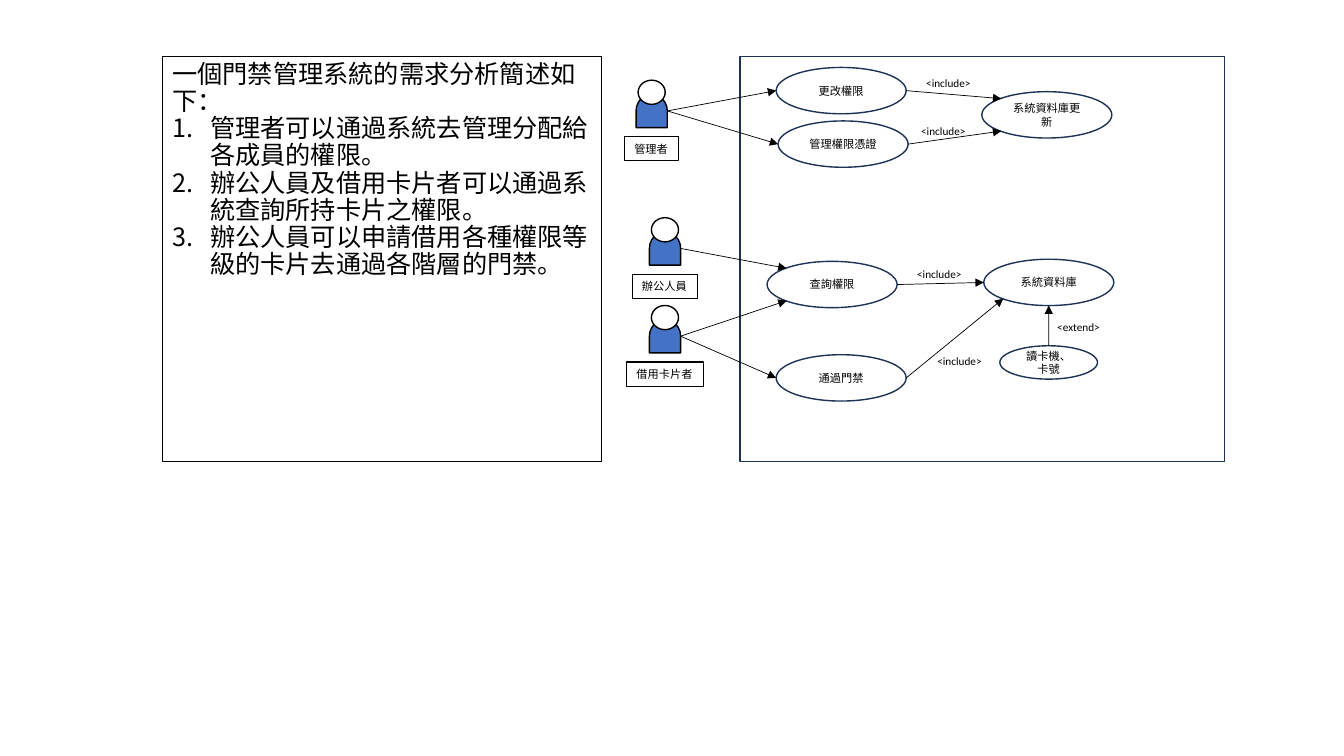
from collections import namedtuple
from lxml import etree
from pptx import Presentation
from pptx.dml.color import RGBColor
from pptx.enum.shapes import MSO_CONNECTOR, MSO_SHAPE
from pptx.enum.text import MSO_ANCHOR, MSO_AUTO_SIZE, PP_ALIGN
from pptx.oxml.ns import qn
from pptx.util import Pt

ELLIPSE = MSO_SHAPE.OVAL
RECTANGLE = MSO_SHAPE.RECTANGLE
DELAY = MSO_SHAPE.FLOWCHART_DELAY
STRAIGHT = MSO_CONNECTOR.STRAIGHT
TOP, MIDDLE = MSO_ANCHOR.TOP, MSO_ANCHOR.MIDDLE
LEFT, CENTER = PP_ALIGN.LEFT, PP_ALIGN.CENTER
NO_AUTOFIT = MSO_AUTO_SIZE.NONE

COLORS = {"black": "000000", "white": "FFFFFF", "navy": "1E3256", "blue": "4472C4"}
Box = namedtuple("Box", "left top width height")
Site = namedtuple("Site", "index across down")
SITES = {
    "top": Site(0, 0.5, 0),
    "top left": Site(1, 0.15, 0.15),
    "left": Site(2, 0, 0.5),
    "bottom left": Site(3, 0.15, 0.85),
    "bottom": Site(4, 0.5, 1),
    "right": Site(6, 1, 0.5),
}
HAND = Site(2, 0.97, 0.5)

REQUIREMENTS = [
    "管理者可以通過系統去管理分配給各成員的權限。",
    "辦公人員及借用卡片者可以通過系統查詢所持卡片之權限。",
    "辦公人員可以申請借用各種權限等級的卡片去通過各階層的門禁。",
]
ACTORS = [("管理者", 20.5, 17, "Calibri"), ("辦公人員", 30, 115.2, "Arial"),
          ("借用卡片者", 30, 177.9, "Arial")]
USE_CASE_SIZE = (92.9, 33.1)
USE_CASES = [
    ("更改權限", 25.9, 7.9, USE_CASE_SIZE),
    ("管理權限憑證", 27.3, 46.1, USE_CASE_SIZE),
    ("系統資料庫更新", 172.8, 25.2, USE_CASE_SIZE),
    ("查詢權限", 19.4, 146.4, USE_CASE_SIZE),
    ("系統資料庫", 174.2, 144.9, USE_CASE_SIZE),
    ("通過門禁", 25.9, 213.1, USE_CASE_SIZE),
    ("讀卡機、卡號", 185.7, 206.7, (69.8, 23.8)),
]
RELATION_LABELS = [("<include>", 126, 10.8), ("<include>", 122.4, 44.7),
                   ("<include>", 119.5, 146.9), ("<include>", 133.9, 209.5),
                   ("<extend>", 219.6, 185.1)]
ARROWS = [
    ("管理者", HAND, "更改權限", "left"),
    ("管理者", HAND, "管理權限憑證", "left"),
    ("辦公人員", HAND, "查詢權限", "top left"),
    ("借用卡片者", HAND, "查詢權限", "bottom left"),
    ("借用卡片者", HAND, "通過門禁", "left"),
    ("更改權限", SITES["right"], "系統資料庫更新", "top left"),
    ("管理權限憑證", SITES["right"], "系統資料庫更新", "bottom left"),
    ("查詢權限", SITES["right"], "系統資料庫", "left"),
    ("通過門禁", SITES["right"], "系統資料庫", "bottom left"),
    ("讀卡機、卡號", SITES["top"], "系統資料庫", "bottom"),
]


def rgb(name):
    return RGBColor.from_string(COLORS[name])


def write(paragraph, text, size=8, font="Calibri", color="black", align=LEFT):
    paragraph.alignment = align
    run = paragraph.add_run()
    run.text = text
    run.font.size = Pt(size)
    run.font.name = font
    run.font.color.rgb = rgb(color)


def add_shape(slide, kind, box, fill=None, line="black", weight=1):
    shape = slide.shapes.add_shape(kind, *map(Pt, box))
    shape.shadow.inherit = False
    if fill:
        shape.fill.solid()
        shape.fill.fore_color.rgb = rgb(fill)
    else:
        shape.fill.background()
    shape.line.color.rgb = rgb(line)
    shape.line.width = Pt(weight)
    return shape


def add_arrow(slide, source, start, target, end):
    points = [(shape.left + int(shape.width * site.across),
               shape.top + int(shape.height * site.down))
              for shape, site in ((source, start), (target, end))]
    connector = slide.shapes.add_connector(STRAIGHT, *points[0], *points[1])
    links = connector._element.nvCxnSpPr.cNvCxnSpPr
    for tag, shape, site in (("a:stCxn", source, start), ("a:endCxn", target, end)):
        etree.SubElement(links, qn(tag), id=str(shape.shape_id), idx=str(site.index))
    connector.line.color.rgb = rgb("black")
    connector.line.width = Pt(0.5)
    properties = connector._element.spPr
    etree.SubElement(properties.find(qn("a:ln")), qn("a:tailEnd"), type="triangle")
    etree.SubElement(properties, qn("a:effectLst"))


def build_requirements(slide, box):
    body = slide.placeholders[1]
    body.left, body.top, body.width, body.height = map(Pt, box)
    body.line.color.rgb = rgb("black")
    body.line.width = Pt(0.75)
    frame = body.text_frame
    frame.auto_size = NO_AUTOFIT
    frame.vertical_anchor = TOP
    for index, text in enumerate(["一個門禁管理系統的需求分析簡述如下：", *REQUIREMENTS]):
        paragraph = frame.add_paragraph() if index else frame.paragraphs[0]
        write(paragraph, text, size=18, font="Arial")
        paragraph.line_spacing = 0.9
        paragraph.space_before = Pt(0)
        properties = paragraph._p.get_or_add_pPr()
        indent = Pt(27) if index else Pt(0)
        properties.set("marL", str(int(indent)))
        properties.set("indent", str(-int(indent)))
        if index:
            etree.SubElement(properties, qn("a:buFont"), typeface="+mj-lt")
            etree.SubElement(properties, qn("a:buAutoNum"), type="arabicPeriod")
        else:
            etree.SubElement(properties, qn("a:buNone"))


def build_actors(slide, box):
    bodies = {}
    for name, across, down, font in ACTORS:
        center, top = box.left + across, box.top + down
        body = add_shape(slide, DELAY, Box(center - 11.9, top + 10.8, 23.8, 22.3), "blue")
        body.rotation = 270
        add_shape(slide, ELLIPSE, Box(center - 9.7, top, 19.4, 17.3), "white")
        width = 15 + 8 * len(name)
        label = add_shape(slide, RECTANGLE, Box(center - width / 2, top + 40.4, width, 17.3),
                          weight=0.75)
        label.text_frame.word_wrap = False
        write(label.text_frame.paragraphs[0], name, font=font)
        bodies[name] = body
    return bodies


def build_system(slide, box):
    add_shape(slide, RECTANGLE, box, line="navy")
    ellipses = {}
    for name, across, down, size in USE_CASES:
        ellipse = add_shape(slide, ELLIPSE, Box(box.left + across, box.top + down, *size),
                            "white", "navy")
        ellipse.text_frame.vertical_anchor = MIDDLE
        write(ellipse.text_frame.paragraphs[0], name, align=CENTER)
        ellipses[name] = ellipse
    for text, across, down in RELATION_LABELS:
        label = slide.shapes.add_textbox(*map(Pt, (box.left + across, box.top + down, 46.8, 17.3)))
        label.text_frame.word_wrap = False
        write(label.text_frame.paragraphs[0], text)
    return ellipses


def build_use_case_slide(presentation):
    slide = presentation.slides.add_slide(presentation.slide_layouts[1])
    title = slide.shapes.title._element
    title.getparent().remove(title)
    build_requirements(slide, Box(115.9, 40.3, 313.9, 289.4))
    nodes = build_system(slide, Box(528.5, 40.3, 346.3, 289.4))
    nodes.update(build_actors(slide, Box(445, 40.3, 58, 289.4)))
    for source, start, target, end in ARROWS:
        add_arrow(slide, nodes[source], start, nodes[target], SITES[end])


presentation = Presentation()
presentation.slide_width, presentation.slide_height = Pt(960), Pt(540)
build_use_case_slide(presentation)
presentation.save("out.pptx")
